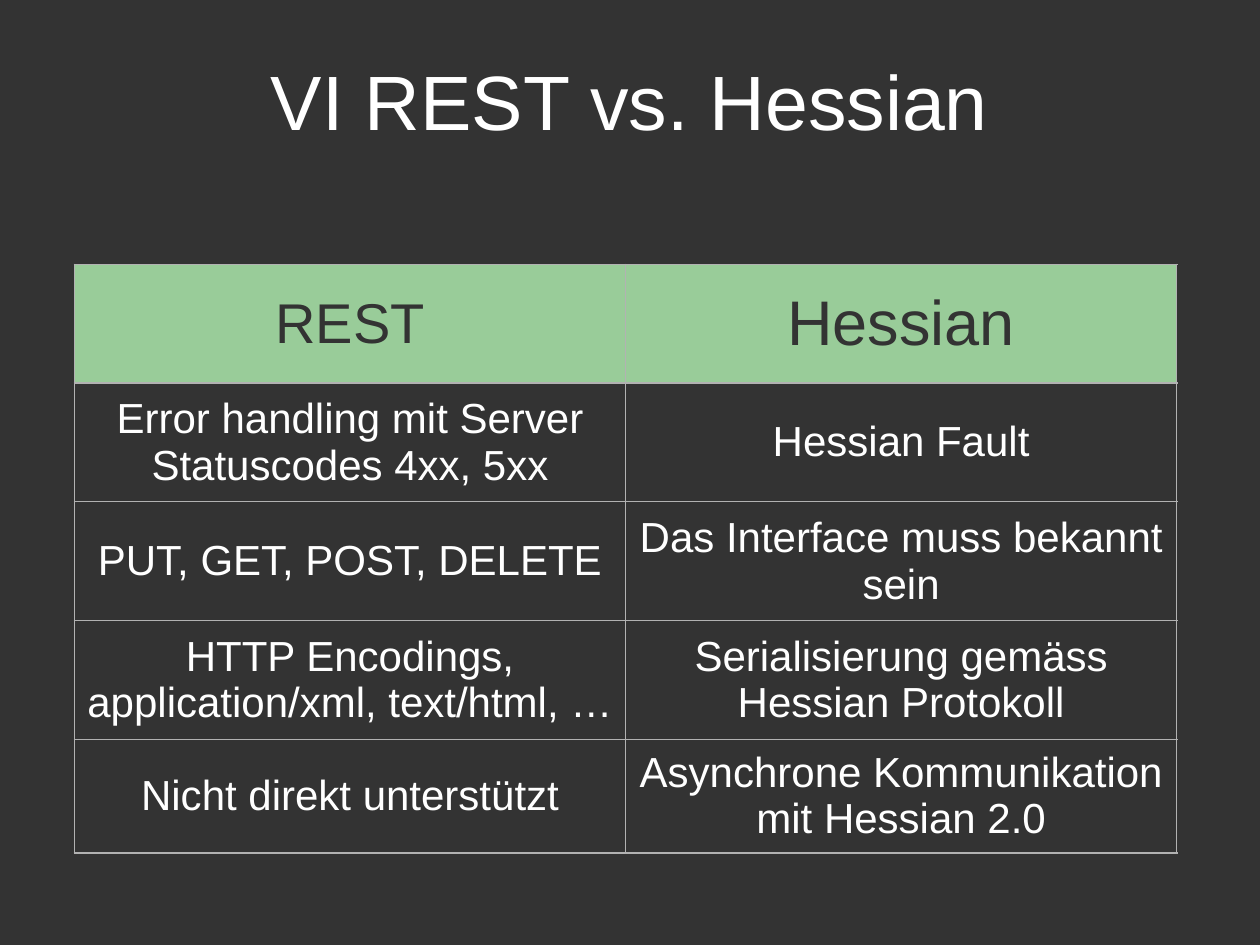
from lxml import etree
from pptx import Presentation
from pptx.dml.color import RGBColor
from pptx.enum import text
from pptx.oxml import ns
from pptx.util import Cm, Pt

DARK, WHITE, GREEN, GREY = "333333", "FFFFFF", "99CC99", "B2B2B2"
OUTER, INNER = Pt(1.08), Pt(0.75)
COLUMN_WIDTH = 11.11
ROW_HEIGHTS = [2.39, 2.39, 2.4, 2.39, 2.29]
COMPARISON = [
    ("REST", "Hessian"),
    ("Error handling mit Server Statuscodes 4xx, 5xx", "Hessian Fault"),
    ("PUT, GET, POST, DELETE", "Das Interface muss bekannt sein"),
    ("HTTP Encodings, application/xml, text/html, …",
     "Serialisierung gemäss Hessian Protokoll"),
    ("Nicht direkt unterstützt", "Asynchrone Kommunikation mit Hessian 2.0"),
]
HEADER_SIZES = [32, 36]
HEADER_SPACING = [8, 9]


def paint(fill, color):
    fill.solid()
    fill.fore_color.rgb = RGBColor.from_string(color)


def write(frame, words, size, color):
    """Fill a text frame with one centred paragraph and return it."""
    frame.word_wrap = True
    paragraph = frame.paragraphs[0]
    paragraph.text = words
    paragraph.alignment = text.PP_ALIGN.CENTER
    paragraph.font.name = "Arial"
    paragraph.font.size = Pt(size)
    paragraph.font.color.rgb = RGBColor.from_string(color)
    return paragraph


def add_title(slide, words):
    frame = slide.shapes.add_textbox(0, 0, Cm(25.4), Cm(4.24)).text_frame
    write(frame, words, 44, WHITE).line_spacing = 0.9
    frame.vertical_anchor = text.MSO_ANCHOR.MIDDLE


def set_borders(cell, widths):
    """Draw the cell's edges; widths maps L, R, T and B to line widths."""
    properties = cell._tc.get_or_add_tcPr()
    for side, width in widths.items():
        line = etree.SubElement(properties, ns.qn(f"a:ln{side}"), w=str(width))
        solid = etree.SubElement(line, ns.qn("a:solidFill"))
        etree.SubElement(solid, ns.qn("a:srgbClr"), val=GREY)


def add_comparison(slide, rows):
    last_row, last_column = len(rows) - 1, len(rows[0]) - 1
    frame = slide.shapes.add_table(
        len(rows), len(rows[0]), Cm(1.5), Cm(5.33),
        Cm(COLUMN_WIDTH * len(rows[0])), Cm(sum(ROW_HEIGHTS)))
    table = frame.table
    for column in table.columns:
        column.width = Cm(COLUMN_WIDTH)
    for r, entries in enumerate(rows):
        table.rows[r].height = Cm(ROW_HEIGHTS[r])
        for c, words in enumerate(entries):
            cell = table.cell(r, c)
            cell.vertical_anchor = text.MSO_ANCHOR.MIDDLE
            outer_edges = {"L": c == 0, "R": c == last_column,
                           "T": r == 0, "B": r == last_row}
            set_borders(cell, {side: OUTER if outer else INNER
                               for side, outer in outer_edges.items()})
            if r == 0:
                paint(cell.fill, GREEN)
                size, color, spacing = HEADER_SIZES[c], DARK, HEADER_SPACING[c]
            else:
                cell.fill.background()
                size, color, spacing = 24, WHITE, 6
            write(cell.text_frame, words, size, color).space_before = Pt(spacing)


def main():
    deck = Presentation()
    deck.slide_width, deck.slide_height = Cm(25.4), Cm(19.05)
    slide = deck.slides.add_slide(deck.slide_layouts[6])
    paint(slide.background.fill, DARK)
    add_comparison(slide, COMPARISON)
    add_title(slide, "VI REST vs. Hessian")
    deck.save("out.pptx")


if __name__ == "__main__":
    main()
